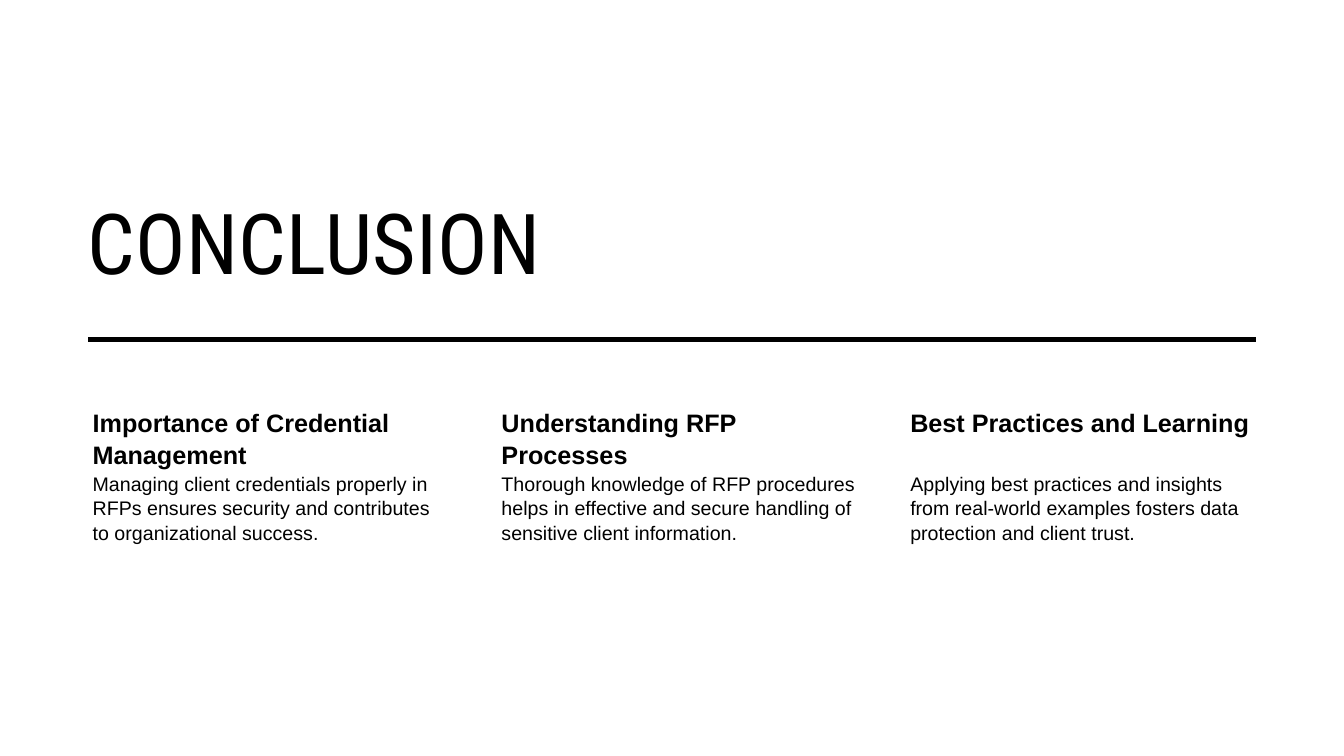
import pptx
import pptx.util
import pptx.dml.color
import pptx.enum.shapes
import pptx.enum.text

Pt = pptx.util.Pt
HEX = {"ink": "000000", "page": "FFFFFF"}
INK = pptx.dml.color.RGBColor.from_string(HEX["ink"])
LEFT, STEP, WIDE = 55.4, 292, 265.7

deck = pptx.Presentation()
deck.slide_width, deck.slide_height = Pt(960), Pt(540)
slide = deck.slides.add_slide(deck.slide_layouts[5])
slide.background.fill.solid()
slide.background.fill.fore_color.rgb = pptx.dml.color.RGBColor.from_string(HEX["page"])


def style(para, face, size, bold=False):
    para.alignment = pptx.enum.text.PP_ALIGN.LEFT
    para.font.name = face
    para.font.size = Pt(size)
    para.font.bold = bold
    para.font.color.rgb = INK


def add_text(text, left, top, high, inset, size, bold):
    box = slide.shapes.add_textbox(Pt(left), Pt(top), Pt(WIDE), Pt(high))
    frame = box.text_frame
    frame.word_wrap = True
    frame.margin_left = Pt(10.8)
    frame.margin_top = frame.margin_right = frame.margin_bottom = Pt(inset)
    para = frame.paragraphs[0]
    para.text = text
    para.line_spacing = 1.04
    style(para, "Arial", size, bold)


# Title
title = slide.shapes.title
title.left, title.top, title.width, title.height = Pt(LEFT), Pt(100.8), Pt(629.3), Pt(110.9)
title.text_frame.text = "CONCLUSION"
title.text_frame.vertical_anchor = pptx.enum.text.MSO_ANCHOR.BOTTOM
head = title.text_frame.paragraphs[0]
style(head, "Roboto Condensed", 60)
head.runs[0].font._element.set("spc", "30")

# Three columns of heading and text
points = [
    ("Importance of Credential Management",
     "Managing client credentials properly in RFPs ensures security and "
     "contributes to organizational success."),
    ("Understanding RFP Processes",
     "Thorough knowledge of RFP procedures helps in effective and secure "
     "handling of sensitive client information."),
    ("Best Practices and Learning",
     "Applying best practices and insights from real-world examples fosters "
     "data protection and client trust."),
]
for col, (topic, text) in enumerate(points):
    left = LEFT + col * STEP
    add_text(topic, left, 288, 46.8, 2.2, 18, True)
    add_text(text, left, 334.8, 151.2, 1.4, 14, False)

# Rule under the title
rule = slide.shapes.add_connector(
    pptx.enum.shapes.MSO_CONNECTOR.STRAIGHT, Pt(63.2), Pt(242.6), Pt(897.2), Pt(242.6))
rule.line.color.rgb = INK
rule.line.width = Pt(3.5)
rule._element.spPr.append(pptx.oxml.parse_xml(
    '<a:effectLst xmlns:a="http://schemas.openxmlformats.org/drawingml/2006/main"/>'))

deck.save("out.pptx")
